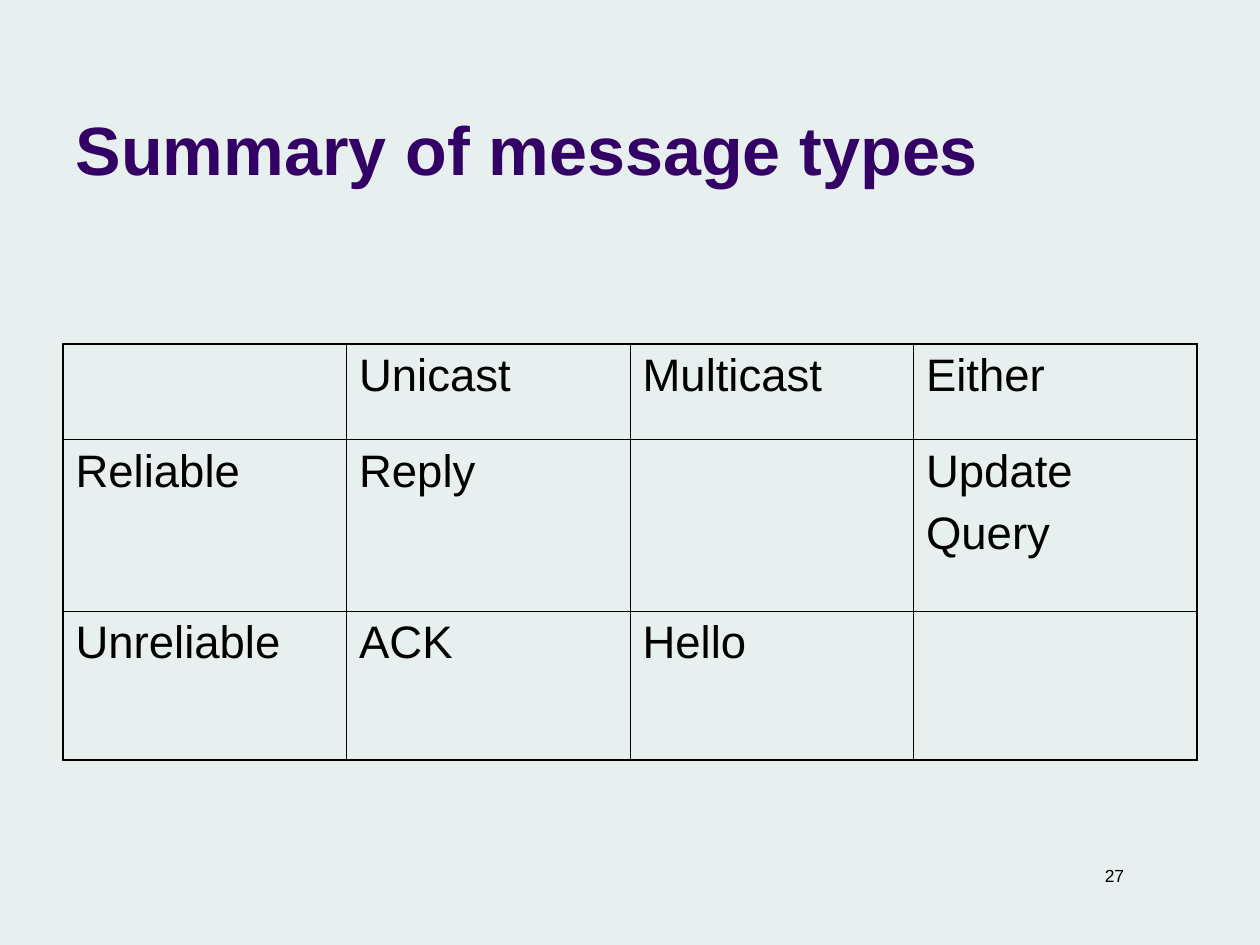
from lxml import etree
from pptx import Presentation
from pptx.dml.color import RGBColor
from pptx.enum import text
from pptx.oxml.ns import qn
from pptx.util import Inches, Pt

BACKGROUND = RGBColor(0xE7, 0xEF, 0xEF)
PURPLE = RGBColor(0x33, 0x00, 0x66)
BLACK = RGBColor(0, 0, 0)
OUTER, INNER = Pt(1.08), Pt(0.45)

ROWS = [
    ["", "Unicast", "Multicast", "Either"],
    ["Reliable", "Reply", "", "Update\nQuery"],
    ["Unreliable", "ACK", "Hello", ""],
]
ROW_HEIGHTS = [0.76, 1.36, 1.18]
COLUMN_WIDTH = 2.25


def write(tf, content, size, color=BLACK, bold=False,
          align=text.PP_ALIGN.LEFT, space_before=0):
    """Fill a text frame, one paragraph per line of content."""
    tf.text = content
    for i, p in enumerate(tf.paragraphs):
        p.alignment = align
        p.space_before = Pt(space_before if i else 0)
        p.font.name = "Arial"
        p.font.size = Pt(size)
        p.font.bold = bold
        p.font.color.rgb = color


def set_borders(cell, widths):
    """Draw the cell's left, right, top and bottom lines, in that order."""
    tcPr = cell._tc.get_or_add_tcPr()
    for i, (side, width) in enumerate(zip("LRTB", widths)):
        ln = etree.Element(qn(f"a:ln{side}"), w=str(int(width)))
        fill = etree.SubElement(ln, qn("a:solidFill"))
        etree.SubElement(fill, qn("a:srgbClr"), val=str(BLACK))
        tcPr.insert(i, ln)


prs = Presentation()
prs.slide_width, prs.slide_height = Inches(10), Inches(7.5)
s = prs.slides.add_slide(prs.slide_layouts[5])
s.background.fill.solid()
s.background.fill.fore_color.rgb = BACKGROUND

title = s.shapes.title
title.left, title.top = Inches(0.5), Inches(0.13)
title.width, title.height = Inches(8.25), Inches(1.42)
tf = title.text_frame
tf.auto_size = text.MSO_AUTO_SIZE.NONE
tf.vertical_anchor = text.MSO_ANCHOR.BOTTOM
write(tf, "Summary of message types", 39, color=PURPLE, bold=True)

last_row, last_col = len(ROWS) - 1, len(ROWS[0]) - 1
table = s.shapes.add_table(
    len(ROWS), len(ROWS[0]), Inches(0.5), Inches(2.73),
    Inches(COLUMN_WIDTH * len(ROWS[0])), Inches(sum(ROW_HEIGHTS))).table
table.first_row = table.horz_banding = False
for column in table.columns:
    column.width = Inches(COLUMN_WIDTH)
for r, (height, row) in enumerate(zip(ROW_HEIGHTS, ROWS)):
    table.rows[r].height = Inches(height)
    for c, content in enumerate(row):
        cell = table.cell(r, c)
        cell.fill.background()
        write(cell.text_frame, content, 26, space_before=6.5)
        edges = [c == 0, c == last_col, r == 0, r == last_row]
        set_borders(cell, [OUTER if edge else INNER for edge in edges])

number = s.shapes.add_textbox(Inches(6.97), Inches(6.82), Inches(2.05), Inches(0.27))
number.text_frame.word_wrap = True
write(number.text_frame, "27", 10, align=text.PP_ALIGN.RIGHT)

prs.save("out.pptx")
